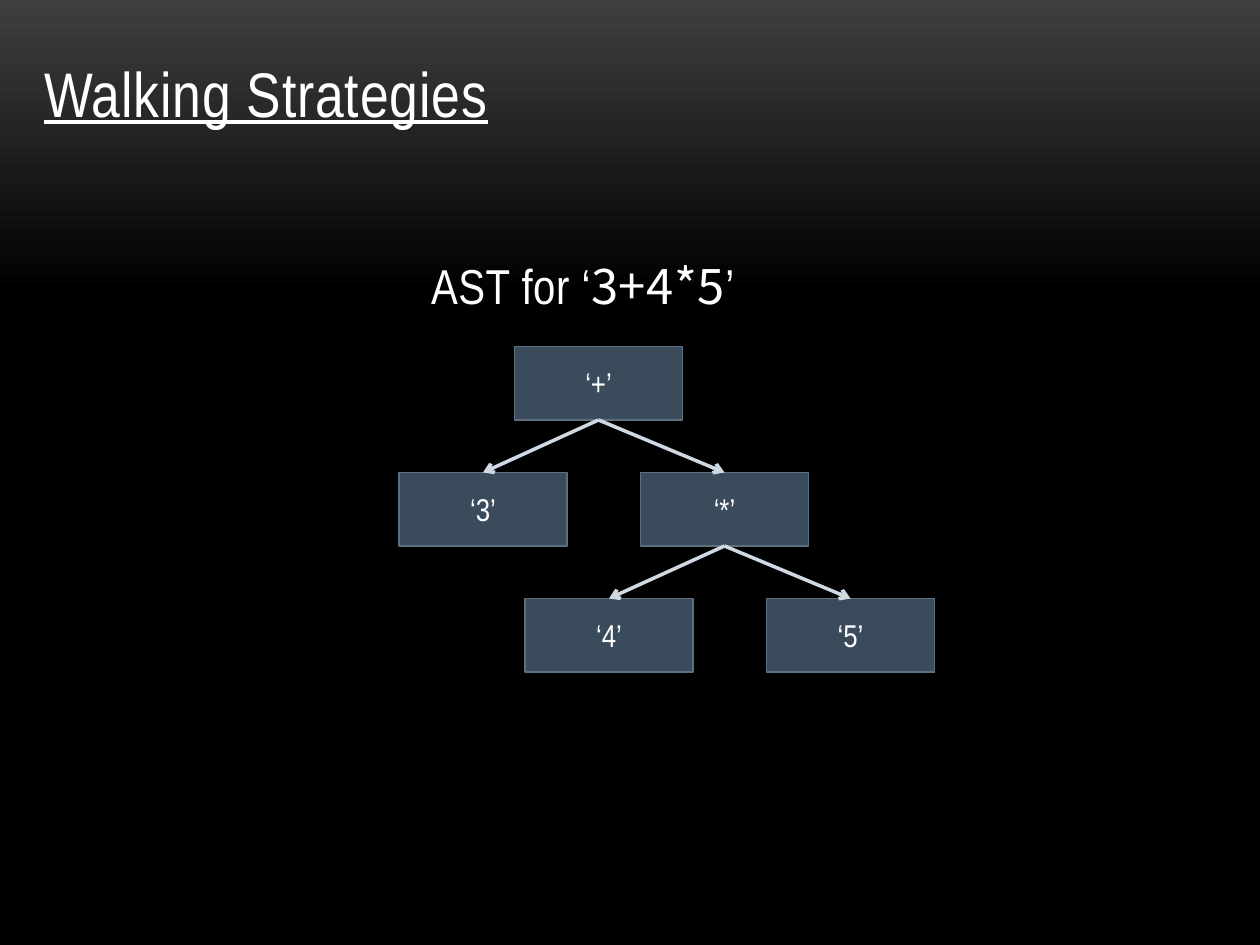
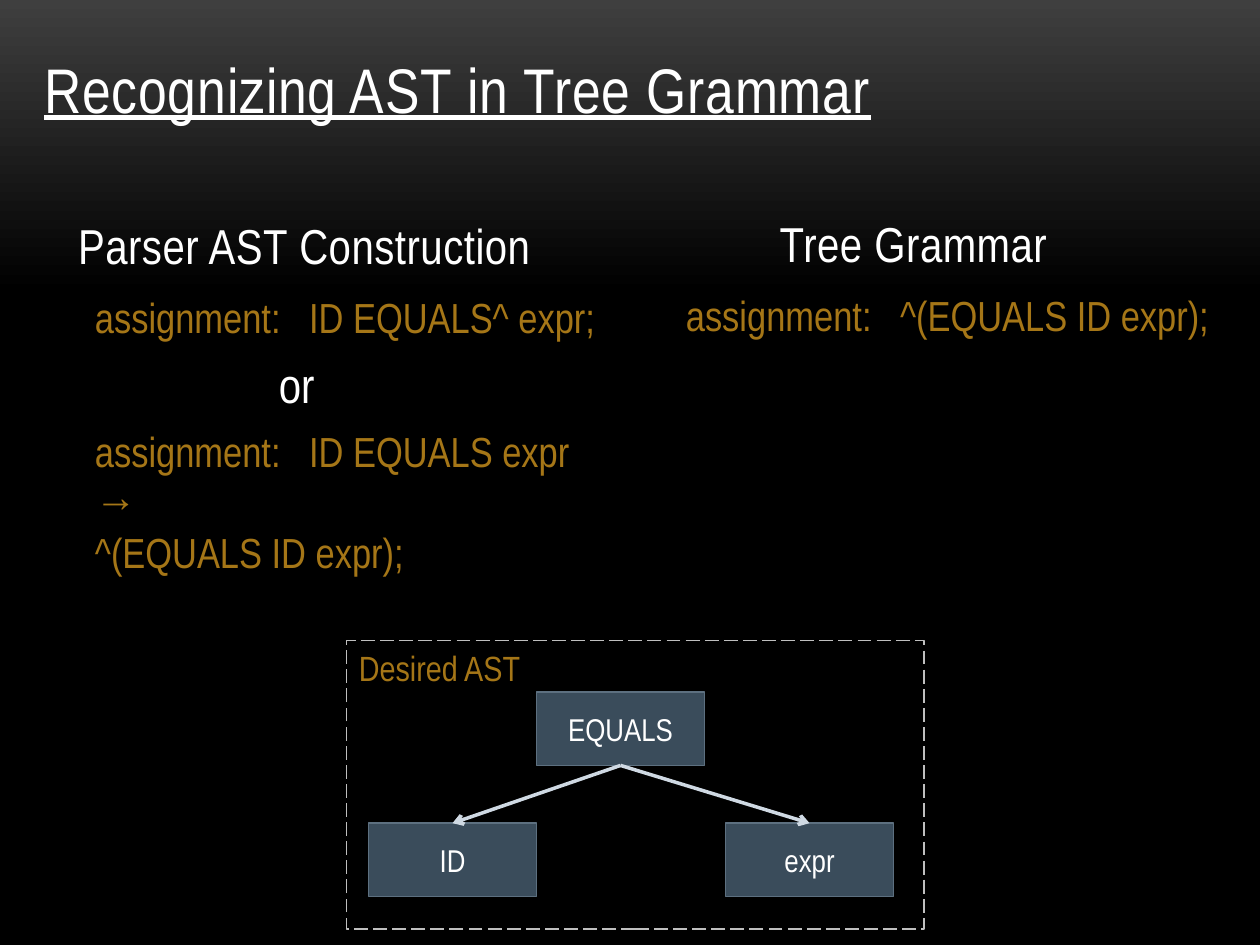
from lxml import etree
from copy import deepcopy
from pptx import Presentation
from pptx.dml.color import RGBColor
from pptx.enum.dml import MSO_LINE
from pptx.enum.shapes import MSO_CONNECTOR, MSO_SHAPE
from pptx.enum.text import MSO_ANCHOR, MSO_AUTO_SIZE, PP_ALIGN
from pptx.oxml.ns import qn
from pptx.util import Inches, Pt

WHITE = RGBColor(0xFF, 0xFF, 0xFF)
BLACK = RGBColor(0x00, 0x00, 0x00)
CHARCOAL = RGBColor(0x3F, 0x3F, 0x3F)
SLATE = RGBColor(0x3A, 0x4C, 0x5B)
SLATE_EDGE = RGBColor(0x5D, 0x70, 0x80)
ARROW = RGBColor(0xCF, 0xD9, 0xE3)
FRAME = RGBColor(0xBF, 0xBF, 0xBF)
GOLD = RGBColor(0xA5, 0x76, 0x17)

FONT = "Arial Narrow"
MONO = "Noto Sans CJK JP"
LEFT, CENTER = PP_ALIGN.LEFT, PP_ALIGN.CENTER
TOP, MIDDLE, BOTTOM = MSO_ANCHOR.TOP, MSO_ANCHOR.MIDDLE, MSO_ANCHOR.BOTTOM
NO_FIT = MSO_AUTO_SIZE.NONE
RECT = MSO_SHAPE.RECTANGLE
STRAIGHT = MSO_CONNECTOR.STRAIGHT
LONG_DASH = MSO_LINE.LONG_DASH

COLS, ROWS = 120, 90
NODE_W, NODE_H = 16, 7
BOTTOM_SITE, TOP_SITE = 2, 0
TITLE_ONLY = 5


class Deck:
    def __init__(self):
        self.prs = Presentation()
        self.prs.slide_width, self.prs.slide_height = Inches(10), Inches(7.5)
        self.s = None
        self.style_background()

    def style_background(self):
        master = self.prs.slide_master
        fill = master.background.fill
        fill.gradient()
        fill.gradient_angle = 270
        for stop, pos, color in zip(fill.gradient_stops, (0, 0.31), (CHARCOAL, BLACK)):
            stop.position, stop.color.rgb = pos, color
        last = list(master.element.cSld.iter(qn("a:gs")))[-1]
        end = deepcopy(last)
        end.set("pos", "100000")
        last.addnext(end)

    def box(self, col, row, cols, rows):
        dx, dy = self.prs.slide_width / COLS, self.prs.slide_height / ROWS
        return [round(v) for v in (col * dx, row * dy, cols * dx, rows * dy)]

    def frame(self, sp, anchor):
        tf = sp.text_frame
        tf.word_wrap, tf.auto_size, tf.vertical_anchor = True, NO_FIT, anchor
        return tf

    def run(self, p, text, size, color=WHITE, font=FONT, spacing=0, underline=None):
        r = p.add_run()
        r.text = text
        f = r.font
        f.size, f.name, f.color.rgb, f.underline = Pt(size), font, color, underline
        if spacing:
            r.font._element.set("spc", str(spacing))

    def slide(self, title, cols, rows):
        self.s = self.prs.slides.add_slide(self.prs.slide_layouts[TITLE_ONLY])
        sp = self.s.shapes.title
        sp.left, sp.top, sp.width, sp.height = self.box(3, 3, cols, rows)
        p = self.frame(sp, BOTTOM).paragraphs[0]
        p.alignment = LEFT
        self.run(p, title, 36, spacing=50, underline=True)

    def heading(self, runs, col, row, cols):
        sp = self.s.shapes.add_textbox(*self.box(col, row, cols, 7.5))
        p = self.frame(sp, BOTTOM).paragraphs[0]
        p.alignment = CENTER
        for text, font in runs:
            self.run(p, text, 28, font=font, spacing=30)

    def grammar(self, lines, col, row, cols, rows, inset):
        sp = self.s.shapes.add_textbox(*self.box(col, row, cols, rows))
        tf = self.frame(sp, TOP)
        tf.margin_left, tf.margin_right = Inches(inset), 0
        for i, (text, size, color, indent, before) in enumerate(lines):
            p = tf.add_paragraph() if i else tf.paragraphs[0]
            pPr = p._p.get_or_add_pPr()
            if indent:
                pPr.set("marL", str(Inches(indent)))
            if before:
                p.space_before = Pt(before)
            if "\t" in text:
                tabs = etree.SubElement(pPr, qn("a:tabLst"))
                etree.SubElement(tabs, qn("a:tab"), pos=str(Inches(1.7)), algn="l")
            self.run(p, text, size, color)

    def rect(self, shapes, col, row, cols, rows, line, width):
        sp = shapes.add_shape(RECT, *self.box(col, row, cols, rows))
        sp.shadow.inherit = False
        sp.line.color.rgb, sp.line.width = line, Pt(width)
        return sp

    def panel(self, shapes, label, col, row, cols, rows):
        sp = self.rect(shapes, col, row, cols, rows, FRAME, 1)
        sp.fill.background()
        sp.line.dash_style = LONG_DASH
        p = self.frame(sp, TOP).paragraphs[0]
        p.alignment = LEFT
        self.run(p, label, 20, GOLD)

    def arrow(self, shapes, parent, child):
        cxn = shapes.add_connector(STRAIGHT, 0, 0, 0, 0)
        cxn.begin_connect(parent, BOTTOM_SITE)
        cxn.end_connect(child, TOP_SITE)
        cxn.line.color.rgb, cxn.line.width = ARROW, Pt(2)
        etree.SubElement(cxn.line._get_or_add_ln(), qn("a:tailEnd"), type="arrow")
        etree.SubElement(cxn._element.spPr, qn("a:effectLst"))

    def tree(self, shapes, node, col, row, shifts, drop):
        label, *children = node
        sp = self.rect(shapes, col, row, NODE_W, NODE_H, SLATE_EDGE, 0.85)
        sp.fill.solid()
        sp.fill.fore_color.rgb = SLATE
        p = self.frame(sp, MIDDLE).paragraphs[0]
        p.alignment = CENTER
        self.run(p, label, 18)
        for child, shift in zip(children, shifts):
            child_sp = self.tree(shapes, child, col + shift, row + drop, shifts, drop)
            self.arrow(shapes, sp, child_sp)
        return sp


def walking_strategies(deck):
    deck.slide("Walking Strategies", 111, 10)
    deck.heading([("AST for ‘", FONT), ("3+4*5", MONO), ("’", FONT)], 31, 23, 49)
    product = ("‘*’", ("‘4’",), ("‘5’",))
    deck.tree(deck.s.shapes, ("‘+’", ("‘3’",), product), 49, 33, (-11, 12), 12)


def recognizing_ast(deck):
    deck.slide("Recognizing AST in Tree Grammar", 107, 9.6)
    deck.heading([("Parser AST Construction", FONT)], 1, 19.2, 56)
    deck.grammar([
        ("assignment:\tID EQUALS^ expr;", 24, GOLD, 0, 0),
        ("or", 28, WHITE, 1.46, 7),
        ("assignment:\tID EQUALS expr", 24, GOLD, 0, 7),
        ("→", 24, GOLD, 0, 0),
        ("^(EQUALS ID expr);", 24, GOLD, 0, 0),
    ], 4, 27.2, 55, 42, 0.42)
    deck.heading([("Tree Grammar", FONT)], 58, 19, 58)
    deck.grammar([("assignment:\t^(EQUALS ID expr);", 24, GOLD, 0, 0)],
                 61, 27, 57, 6, 0.36)
    shapes = deck.s.shapes.add_group_shape().shapes
    deck.panel(shapes, "Desired AST", 33, 61, 55, 27.5)
    deck.tree(shapes, ("EQUALS", ("ID",), ("expr",)), 51.1, 65.9, (-16, 18), 12.5)


def main():
    deck = Deck()
    walking_strategies(deck)
    recognizing_ast(deck)
    deck.prs.save("out.pptx")


if __name__ == "__main__":
    main()
